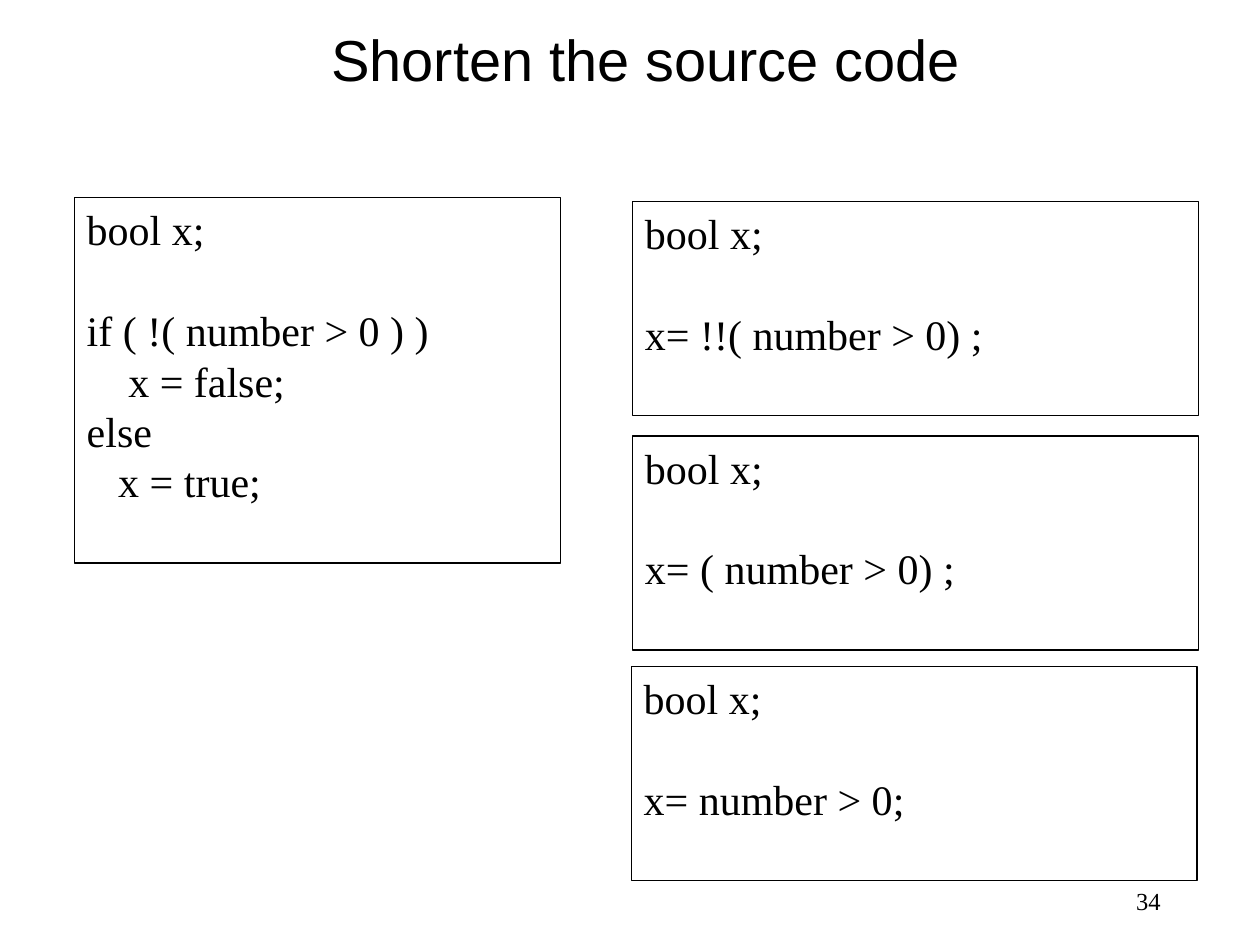
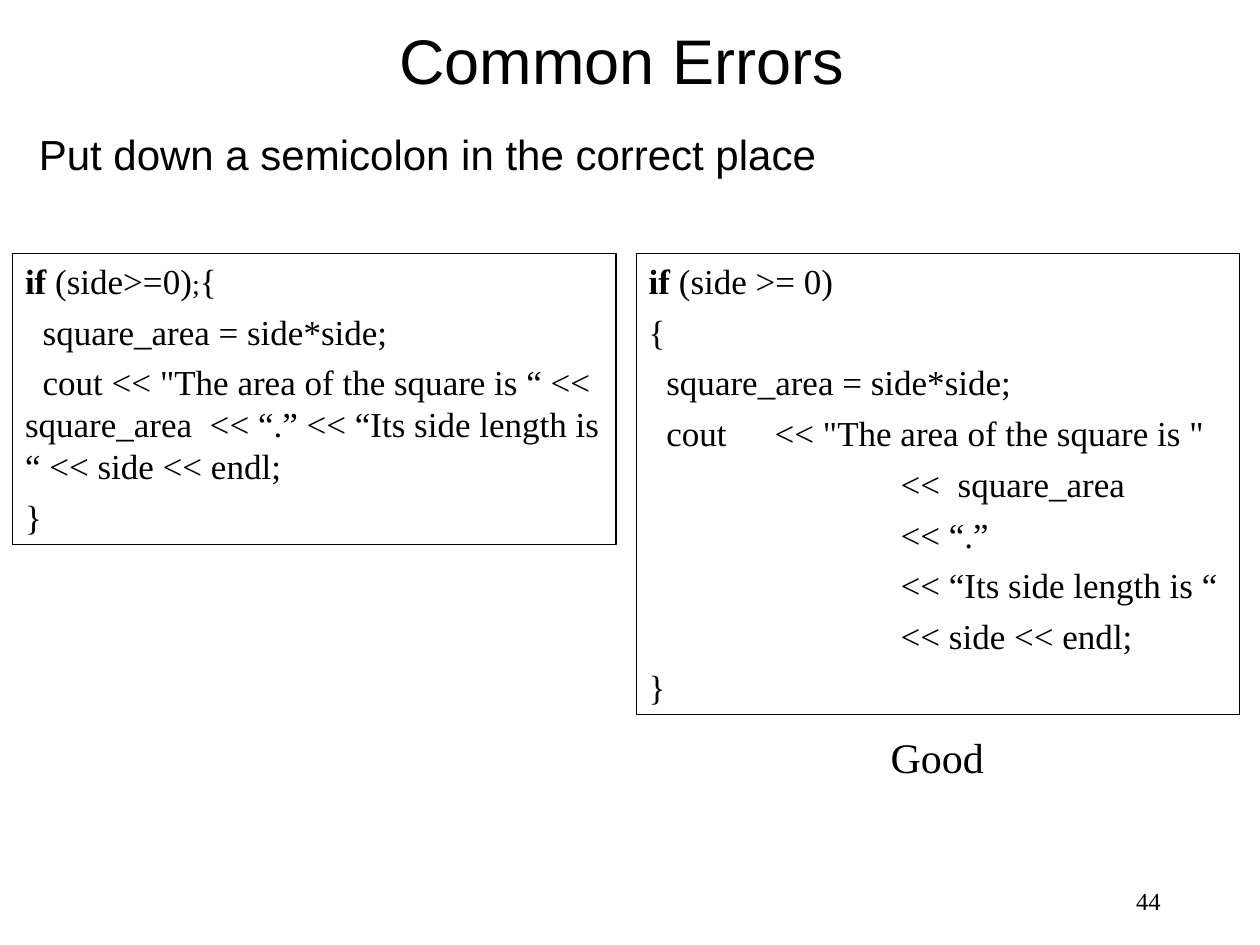
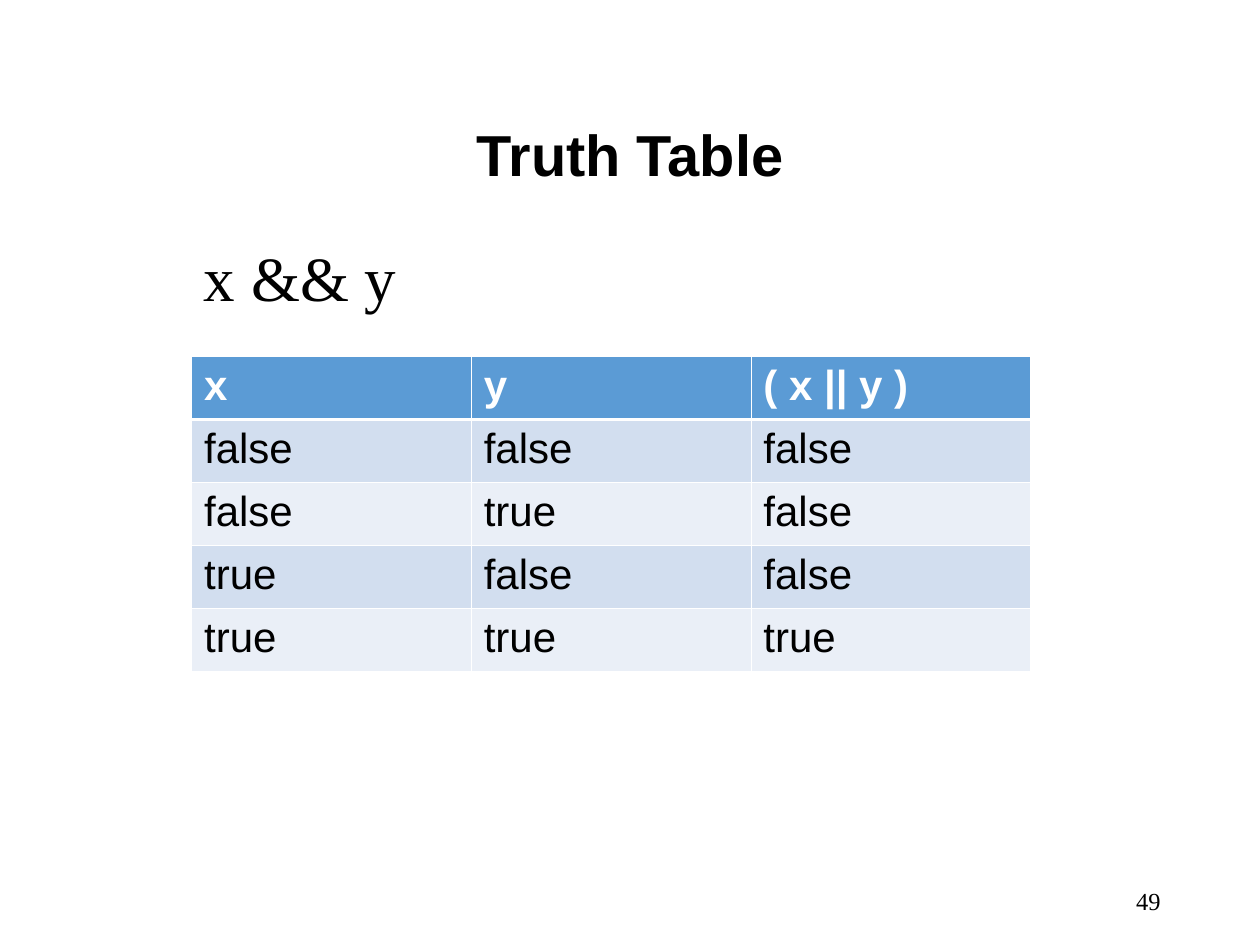
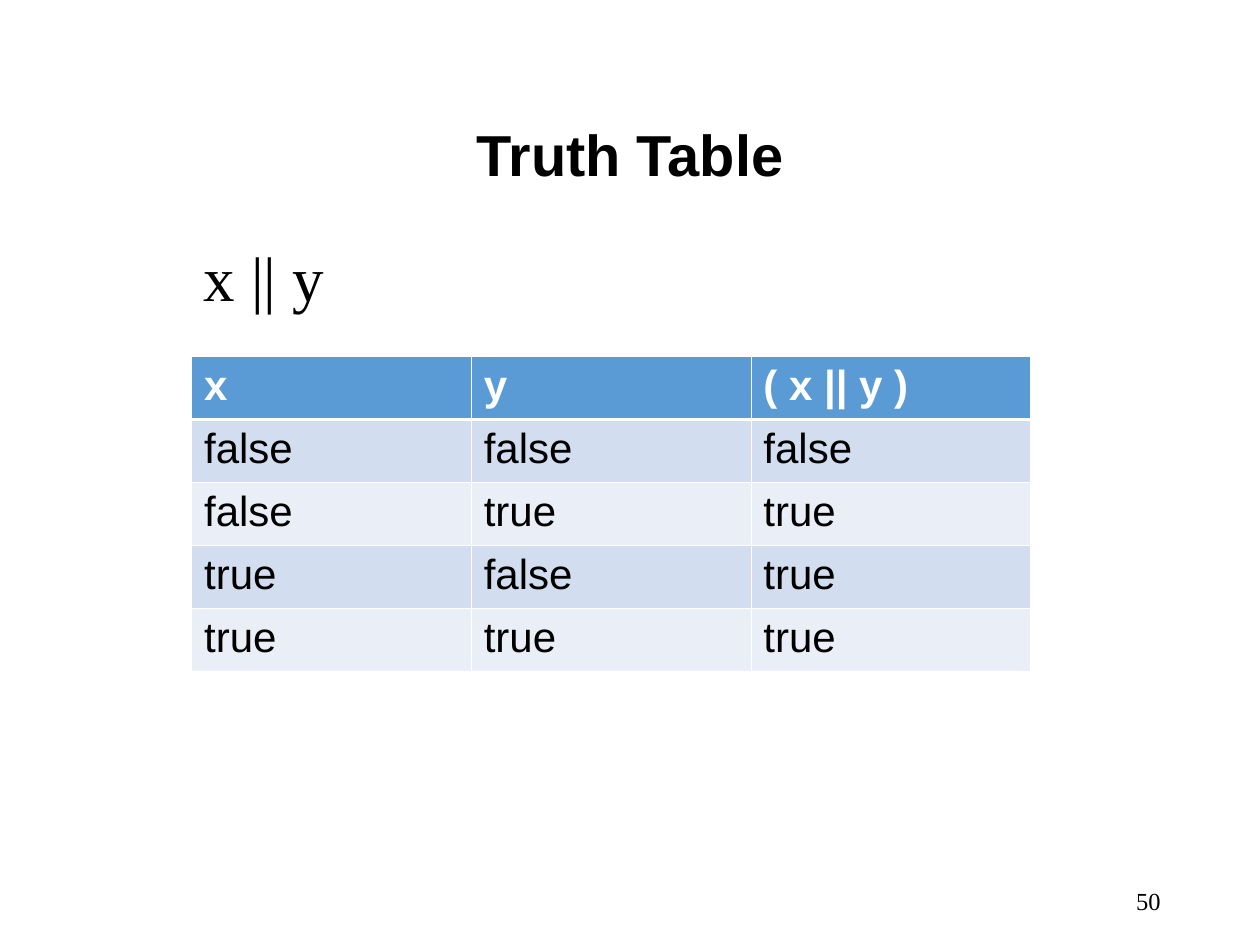
from dataclasses import dataclass
from typing import Any

from lxml.etree import SubElement
from pptx import Presentation
from pptx.dml.color import RGBColor
from pptx.enum.shapes import MSO_SHAPE as Preset
from pptx.enum.text import MSO_ANCHOR as Anchor, MSO_AUTO_SIZE as AutoSize, PP_ALIGN as Align
from pptx.oxml.ns import qn
from pptx.util import Emu, Pt

EMU_PER_PX = 9144
BLACK, WHITE = "000000", "FFFFFF"
HEADER_BLUE, BAND_DARK, BAND_LIGHT = "5B9BD5", "D2DEEF", "EAEFF7"
SANS, SERIF = "Arial", "Times New Roman"
TITLE_ONLY = 5
THIN, THICK = 0.45, 1.47
CODE_SIZE = 20
BLANK_LINE = 28.8
TAB = 100


@dataclass(frozen=True)
class Area:
    left: int
    top: int
    width: int
    height: int


@dataclass(frozen=True)
class Style:
    size: float
    font: str = SERIF
    color: str = BLACK
    bold: bool = False
    align: Align = Align.LEFT
    anchor: Anchor = Anchor.TOP
    spacing: float = 1.0
    wrap: bool = True


@dataclass(frozen=True)
class Span:
    text: str
    bold: bool = False
    size: float | None = None


@dataclass(frozen=True)
class Line:
    spans: tuple[Span, ...]
    before: float = 0
    left: int = 0
    first: int = 0


@dataclass(frozen=True)
class CodeBox:
    area: Area
    lines: list[Line]
    style: Style


TITLE = Style(33, SANS, align=Align.CENTER, anchor=Anchor.MIDDLE, spacing=0.9)
BIG_TITLE = Style(36, SANS, align=Align.CENTER, anchor=Anchor.MIDDLE, spacing=0.9)
BOLD_TITLE = Style(33, SANS, bold=True, align=Align.CENTER, anchor=Anchor.MIDDLE, spacing=0.9)
SUBTITLE = Style(24, SANS, spacing=0.9)
PAGE_NUMBER = Style(14, align=Align.RIGHT, anchor=Anchor.MIDDLE)
SNIPPET = Style(24)
CODE = Style(CODE_SIZE)
CAPTION = Style(24, wrap=False)
EXPRESSION = Style(36, wrap=False)
HEADER_CELL = Style(24, SANS, WHITE, bold=True)
BODY_CELL = Style(24, SANS)

NUMBER_AREA = Area(706, 695, 225, 40)
TRUTH_TITLE_AREA = Area(75, 50, 850, 150)
TRUTH_TABLE_AREA = Area(152, 283, 666, 250)


def px(length: int) -> Emu:
    return Emu(length * EMU_PER_PX)


def rgb(color: str) -> RGBColor:
    return RGBColor.from_string(color)


def set_values(target: Any, values: dict[str, Any]) -> None:
    for name, value in values.items():
        setattr(target, name, value)


def bounds(area: Area) -> tuple[Emu, Emu, Emu, Emu]:
    return px(area.left), px(area.top), px(area.width), px(area.height)


def place(shape: Any, area: Area) -> None:
    set_values(shape, dict(zip(("left", "top", "width", "height"), bounds(area))))


def line(text: str, before: float = 0, left: int = 0, first: int = 0) -> Line:
    return Line((Span(text),), before, left, first)


def code_line(*spans: Span, left: int = 0, first: int = 0) -> Line:
    return Line(spans, 5, left, first)


def write(frame: Any, lines: list[Line], style: Style) -> None:
    set_values(frame, {
        "word_wrap": style.wrap,
        "auto_size": AutoSize.NONE if style.wrap else AutoSize.SHAPE_TO_FIT_TEXT,
        "vertical_anchor": style.anchor,
        "margin_left": px(10), "margin_right": px(10),
        "margin_top": px(5), "margin_bottom": px(5),
    })
    for index, item in enumerate(lines):
        para = frame.add_paragraph() if index else frame.paragraphs[0]
        set_values(para, {
            "alignment": style.align,
            "line_spacing": style.spacing,
            "space_before": Pt(item.before),
        })
        properties = para._p.get_or_add_pPr()
        properties.set("marL", str(px(item.left)))
        properties.set("indent", str(px(item.first)))
        if any("\t" in part.text for part in item.spans):
            stops = SubElement(properties, qn("a:tabLst"))
            SubElement(stops, qn("a:tab"), pos=str(px(TAB)), algn="l")
        for part in item.spans:
            span = para.add_run()
            span.text = part.text
            set_values(span.font, {
                "name": style.font,
                "size": Pt(part.size or style.size),
                "bold": style.bold or part.bold,
            })
            span.font.color.rgb = rgb(style.color)


def add_label(page: Any, area: Area, item: Line, style: Style) -> None:
    box = page.shapes.add_textbox(*bounds(area))
    write(box.text_frame, [item], style)
    place(box, area)


def add_page(deck: Any, title: str, area: Area, style: Style, number: int) -> Any:
    page = deck.slides.add_slide(deck.slide_layouts[TITLE_ONLY])
    place(page.shapes.title, area)
    write(page.shapes.title.text_frame, [line(title)], style)
    add_label(page, NUMBER_AREA, line(str(number)), PAGE_NUMBER)
    return page


def add_code_box(page: Any, code: CodeBox) -> None:
    box = page.shapes.add_shape(Preset.RECTANGLE, *bounds(code.area))
    box.shadow.inherit = False
    box.fill.background()
    box.line.color.rgb = rgb(BLACK)
    box.line.width = Pt(0.75)
    write(box.text_frame, code.lines, code.style)


def add_border(cell: Any, side: str, width: float) -> None:
    border = SubElement(cell._tc.get_or_add_tcPr(), qn(f"a:ln{side}"), w=str(Pt(width)))
    fill = SubElement(border, qn("a:solidFill"))
    SubElement(fill, qn("a:srgbClr"), val=WHITE)


def add_truth_table(page: Any, area: Area, rows: list[tuple[str, ...]]) -> None:
    table = page.shapes.add_table(len(rows), len(rows[0]), *bounds(area)).table
    for row_index, row in enumerate(rows):
        is_header = row_index == 0
        band = HEADER_BLUE if is_header else BAND_DARK if row_index % 2 else BAND_LIGHT
        widths = {
            "L": THIN, "R": THIN,
            "T": THICK if row_index == 1 else THIN,
            "B": THICK if is_header else THIN,
        }
        for column_index, value in enumerate(row):
            cell = table.cell(row_index, column_index)
            write(cell.text_frame, [line(value)], HEADER_CELL if is_header else BODY_CELL)
            for side, width in widths.items():
                add_border(cell, side, width)
            cell.fill.solid()
            cell.fill.fore_color.rgb = rgb(band)


def build_shorten(deck: Any) -> None:
    page = add_page(deck, "Shorten the source code", Area(75, 0, 875, 100), TITLE, 34)
    declaration = line("bool x;")
    add_code_box(page, CodeBox(Area(59, 157, 386, 290), [
        declaration,
        line("if ( !( number > 0 ) )", before=BLANK_LINE),
        line("x = false;", first=33),
        line("else"),
        line("x = true;", first=25),
    ], SNIPPET))
    for left, top, statement in (
        (502, 160, "x= !!( number > 0) ;"),
        (502, 346, "x= ( number > 0) ;"),
        (501, 529, "x= number > 0;"),
    ):
        add_code_box(page, CodeBox(
            Area(left, top, 449, 170),
            [declaration, line(statement, before=BLANK_LINE)],
            SNIPPET,
        ))


def build_errors(deck: Any) -> None:
    page = add_page(deck, "Common Errors", Area(21, 26, 945, 50), BIG_TITLE, 44)
    add_label(page, Area(21, 102, 953, 67),
              line("Put down a semicolon in the correct place", before=7.5), SUBTITLE)
    keyword = Span("if", bold=True)
    assignment = code_line(Span("square_area = side*side;"), first=14)
    closing = code_line(Span("}"))
    output = ("<<  square_area", "<< “.”", "<< “Its side length is “", "<< side << endl;")
    add_code_box(page, CodeBox(Area(10, 201, 479, 231), [
        code_line(keyword, Span(" (side>=0)"), Span(";", size=16), Span("{")),
        assignment,
        code_line(Span('cout << "The area of the square is “ <<  square_area  '
                       '<< “.” << “Its side length is “ << side << endl;'), first=14),
        closing,
    ], CODE))
    add_code_box(page, CodeBox(Area(505, 201, 479, 366), [
        code_line(keyword, Span(" (side >= 0)")),
        code_line(Span("{")),
        assignment,
        code_line(Span('cout \t<< "The area of the square is "'), first=14),
        *(code_line(Span(text), left=2 * TAB) for text in output),
        closing,
    ], CODE))
    add_label(page, Area(697, 576, 94, 50), line("Good"), CAPTION)


def build_truth(deck: Any, number: int, expression: str, width: int,
                results: tuple[str, ...]) -> None:
    page = add_page(deck, "Truth Table", TRUTH_TITLE_AREA, BOLD_TITLE, number)
    inputs = [(x, y) for x in ("false", "true") for y in ("false", "true")]
    rows = [("x", "y", "( x || y )")]
    rows += [(*pair, result) for pair, result in zip(inputs, results)]
    add_truth_table(page, TRUTH_TABLE_AREA, rows)
    add_label(page, Area(152, 184, width, 70), line(expression), EXPRESSION)


def main() -> None:
    deck = Presentation()
    set_values(deck, {"slide_width": px(1000), "slide_height": px(750)})
    build_shorten(deck)
    build_errors(deck)
    build_truth(deck, 49, "x && y", 173, ("false", "false", "false", "true"))
    build_truth(deck, 50, "x || y", 115, ("false", "true", "true", "true"))
    deck.save("out.pptx")


if __name__ == "__main__":
    main()
